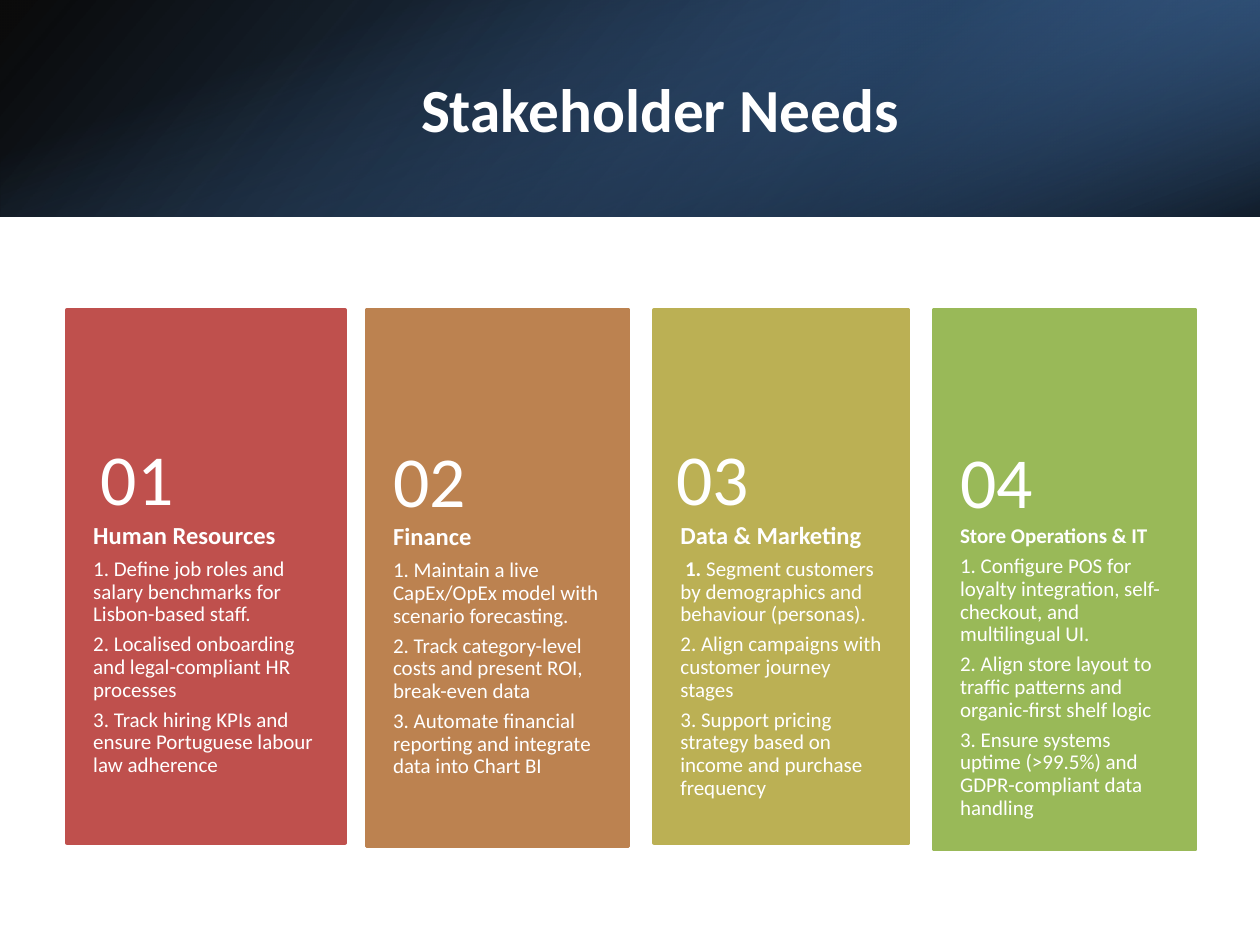
from dataclasses import dataclass

from lxml import etree
from pptx import Presentation
from pptx.dml.color import RGBColor
from pptx.enum import shapes, text
from pptx.oxml import ns
from pptx.util import Inches, Pt


@dataclass(frozen=True)
class Theme:
    font: str = "Calibri"
    white: str = "FFFFFF"
    black: str = "000000"
    navy: str = "244061"
    steel: str = "366092"
    blue: str = "4F81BD"
    title: float = 35
    number: float = 41
    heading: float = 14
    body: float = 12


@dataclass(frozen=True)
class Card:
    left: float
    width: float
    height: float
    number_left: float
    color: str
    heading: str
    items: tuple
    heading_size: float = Theme.heading
    heading_gap: float = 4.9
    bold_lead: str = ""


THEME = Theme()
BAND_HEIGHT = 1.72
CARD_TOP = 2.46
NUMBER_SIZE = (2.08, 1)

CARDS = (
    Card(0.53, 2.21, 4.23, 0.59, "BF504D", "Human Resources", (
        "1. Define job roles and salary benchmarks for Lisbon-based staff.",
        "2. Localised onboarding and legal-compliant HR processes",
        "3. Track hiring KPIs and ensure Portuguese labour law adherence")),
    Card(2.91, 2.08, 4.26, 2.91, "BC8250", "Finance", (
        "1. Maintain a live CapEx/OpEx model with scenario forecasting.",
        "2. Track category-level costs and present ROI, break-even data",
        "3. Automate financial reporting and integrate data into Chart BI")),
    Card(5.19, 2.02, 4.23, 5.16, "BBB054", "Data & Marketing", (
        "Segment customers by demographics and behaviour (personas).",
        "2. Align campaigns with customer journey stages",
        "3. Support pricing strategy based on income and purchase frequency"),
        bold_lead=" 1. "),
    Card(7.41, 2.08, 4.28, 7.41, "99B958", "Store Operations & IT", (
        "1. Configure POS for loyalty integration, self-checkout, and multilingual UI.",
        "2. Align store layout to traffic patterns and organic-first shelf logic",
        "3. Ensure systems uptime (>99.5%) and GDPR-compliant data handling"),
        heading_size=THEME.body, heading_gap=4.2),
)


def add_rect(container, box, color=None):
    sp = container.add_shape(shapes.MSO_SHAPE.RECTANGLE, *map(Inches, box))
    sp.shadow.inherit = False
    if color:
        sp.fill.solid()
        sp.fill.fore_color.rgb = RGBColor.from_string(color)
        sp.line.color.rgb = RGBColor.from_string(color)
        sp.line.width = Pt(2)
    else:
        sp.line.fill.background()
    return sp


def add_gradient(s, box, stops, angle, rotation=0, flip=False):
    sp = add_rect(s.shapes, box)
    sp.rotation = rotation
    props = sp._element.spPr
    if flip:
        props.find(ns.qn("a:xfrm")).set("flipH", "1")
    grad = etree.Element(ns.qn("a:gradFill"), rotWithShape="1")
    stop_list = etree.SubElement(grad, ns.qn("a:gsLst"))
    for position, color, opacity in stops:
        stop = etree.SubElement(stop_list, ns.qn("a:gs"), pos=str(position * 1000))
        rgb = etree.SubElement(stop, ns.qn("a:srgbClr"), val=color)
        etree.SubElement(rgb, ns.qn("a:alpha"), val=str(opacity * 1000))
    etree.SubElement(grad, ns.qn("a:lin"), ang=str(angle * 60000), scaled="0")
    props.find(ns.qn("a:prstGeom")).addnext(grad)


def format_run(r, size, bold=False):
    r.font.name = THEME.font
    r.font.size = Pt(size)
    r.font.bold = bold
    r.font.color.rgb = RGBColor.from_string(THEME.white)


def add_run(p, words, size, bold=False):
    r = p.add_run()
    r.text = words
    format_run(r, size, bold)


def set_frame(tf, insets, anchor):
    tf.word_wrap = True
    tf.auto_size = text.MSO_AUTO_SIZE.NONE
    tf.vertical_anchor = anchor
    tf.margin_left, tf.margin_top, tf.margin_right, tf.margin_bottom = map(Inches, insets)


def add_text(container, box, insets, anchor):
    tf = container.add_textbox(*map(Inches, box)).text_frame
    set_frame(tf, insets, anchor)
    tf.paragraphs[0].line_spacing = 0.9
    return tf


def add_band(s):
    add_gradient(s, (0, 0, 10, BAND_HEIGHT),
                 ((0, THEME.black, 96), (100, THEME.steel, 100)), 140, flip=True)
    add_gradient(s, (6.67, 0, 3.33, BAND_HEIGHT),
                 ((0, THEME.navy, 68), (19, THEME.navy, 68), (100, THEME.blue, 79)),
                 320, rotation=180, flip=True)
    add_gradient(s, (4.14, -4.14, BAND_HEIGHT, 10),
                 ((0, THEME.blue, 0), (23, THEME.blue, 0),
                  (99, THEME.black, 74), (100, THEME.black, 74)), 340, rotation=90)


def add_title(s, words):
    sp = s.shapes.title
    sp.left, sp.top, sp.width, sp.height = map(Inches, (1.12, 0.38, 8.24, 0.96))
    sp.text_frame.text = words
    set_frame(sp.text_frame, (0.1, 0.05, 0.1, 0.05), text.MSO_ANCHOR.MIDDLE)
    p = sp.text_frame.paragraphs[0]
    p.alignment = text.PP_ALIGN.CENTER
    format_run(p.runs[0], THEME.title, True)
    s.shapes._spTree.append(sp._element)


def add_card(container, number, card):
    add_rect(container, (card.left, CARD_TOP, card.width, card.height), card.color)

    body_top = CARD_TOP + 0.4 * card.height
    tf = add_text(container, (card.left, body_top, card.width, 0.6 * card.height),
                  (0.21, 0, 0.21, 0.36), text.MSO_ANCHOR.TOP)
    add_run(tf.paragraphs[0], card.heading, card.heading_size, True)
    for i, item in enumerate(card.items):
        p = tf.add_paragraph()
        p.line_spacing = 0.9
        p.space_before = Pt(4.2 if i else card.heading_gap)
        if i == 0 and card.bold_lead:
            add_run(p, card.bold_lead, THEME.body, True)
        add_run(p, item, THEME.body)

    tf = add_text(container, (card.number_left, body_top - 0.82, *NUMBER_SIZE),
                  (0.21, 0.18, 0.21, 0.18), text.MSO_ANCHOR.MIDDLE)
    add_run(tf.paragraphs[0], f"{number:02}", THEME.number)


def main():
    prs = Presentation()
    prs.slide_width, prs.slide_height = Inches(10), Inches(7.5)
    s = prs.slides.add_slide(prs.slide_layouts[5])
    add_band(s)
    add_title(s, "Stakeholder Needs")
    group = s.shapes.add_group_shape()
    for number, card in enumerate(CARDS, 1):
        add_card(group.shapes, number, card)
    prs.save("out.pptx")


if __name__ == "__main__":
    main()
